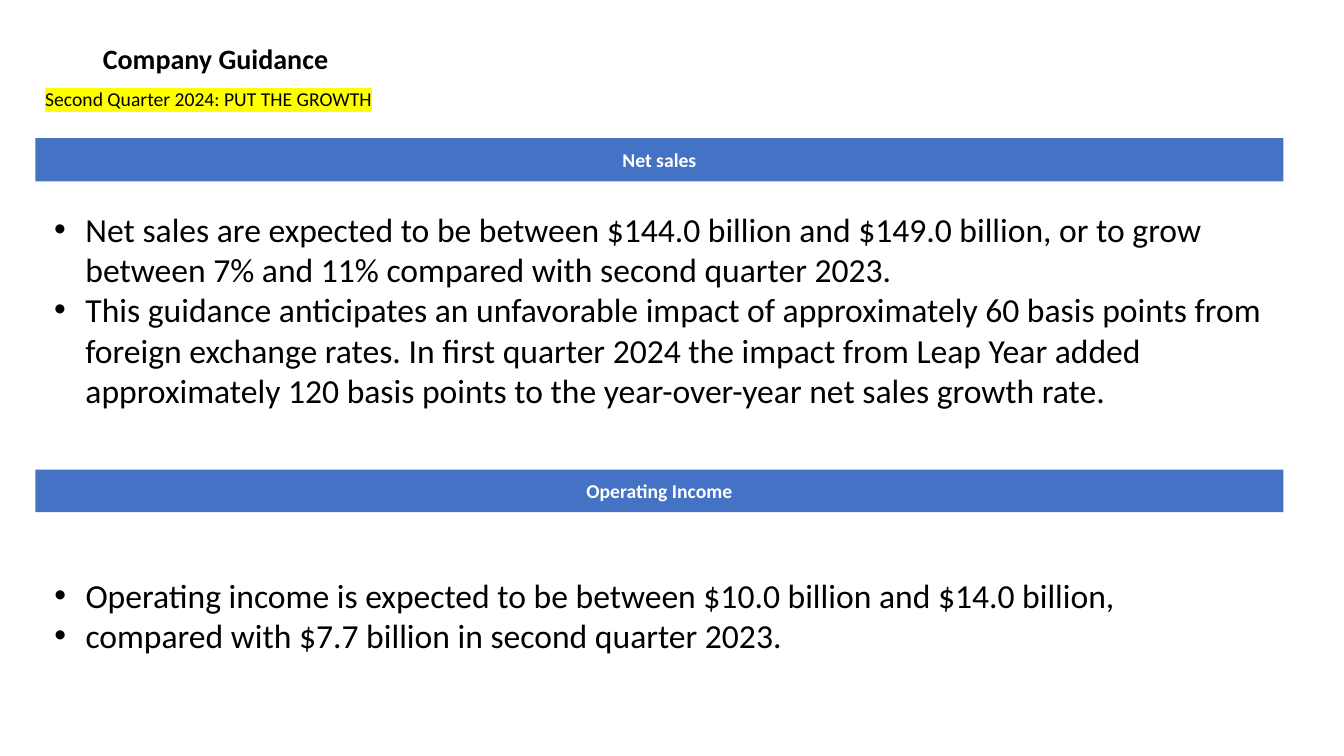
from dataclasses import dataclass

import lxml.etree
import pptx
import pptx.dml.color
import pptx.enum.shapes
import pptx.enum.text
import pptx.oxml.ns
import pptx.shapes.autoshape
import pptx.slide
import pptx.text.text
import pptx.util

SLIDE_WIDTH = pptx.util.Inches(13.33)
SLIDE_HEIGHT = pptx.util.Inches(7.5)
TITLE_ONLY_LAYOUT = 5
FONT = "Calibri"
BULLET_INDENT = pptx.util.Inches(0.31)
COLORS = {"text": "000000", "bar": "4472C4", "bar_text": "FFFFFF", "highlight": "FFFF00"}


@dataclass(frozen=True)
class Area:
    """A box in percent of the slide's width and height."""

    left: float
    top: float
    width: float
    height: float

    def lengths(self) -> tuple[int, int, int, int]:
        return (
            int(SLIDE_WIDTH * self.left / 100),
            int(SLIDE_HEIGHT * self.top / 100),
            int(SLIDE_WIDTH * self.width / 100),
            int(SLIDE_HEIGHT * self.height / 100),
        )


@dataclass(frozen=True)
class Section:
    heading: str
    bar: Area
    bullets: tuple[str, ...]
    body: Area


TITLE_AREA = Area(6.9, 5.07, 18.68, 5.73)
SUBTITLE_AREA = Area(2.63, 10.8, 42.39, 4.53)
SECTIONS = (
    Section(
        "Net sales",
        Area(2.63, 18.27, 92.87, 5.73),
        (
            "Net sales are expected to be between $144.0 billion and $149.0 billion, "
            "or to grow between 7% and 11% compared with second quarter 2023.",
            "This guidance anticipates an unfavorable impact of approximately 60 basis points "
            "from foreign exchange rates. In first quarter 2024 the impact from Leap Year added "
            "approximately 120 basis points to the year-over-year net sales growth rate.",
        ),
        Area(3.3, 26.93, 93.4, 28.27),
    ),
    Section(
        "Operating Income",
        Area(2.63, 62.13, 92.87, 5.6),
        (
            "Operating income is expected to be between $10.0 billion and $14.0 billion,",
            "compared with $7.7 billion in second quarter 2023.",
        ),
        Area(3.3, 75.33, 83.87, 12.13),
    ),
)


def format_text(
    frame: pptx.text.text.TextFrame,
    size: int,
    color: str = "text",
    bold: bool = False,
    alignment: pptx.enum.text.PP_ALIGN = pptx.enum.text.PP_ALIGN.LEFT,
) -> None:
    frame.word_wrap = True
    for paragraph in frame.paragraphs:
        paragraph.alignment = alignment
        for run in paragraph.runs:
            run.font.name = FONT
            run.font.size = pptx.util.Pt(size)
            run.font.bold = bold
            run.font.color.rgb = pptx.dml.color.RGBColor.from_string(COLORS[color])


def highlight_run(run: pptx.text.text._Run) -> None:
    fill = run.font._element.find(pptx.oxml.ns.qn("a:solidFill"))
    highlight = lxml.etree.Element(pptx.oxml.ns.qn("a:highlight"))
    color = lxml.etree.SubElement(highlight, pptx.oxml.ns.qn("a:srgbClr"))
    color.set("val", COLORS["highlight"])
    fill.addnext(highlight)


def add_bullet(paragraph: pptx.text.text._Paragraph) -> None:
    properties = paragraph._p.get_or_add_pPr()
    properties.set("marL", str(BULLET_INDENT))
    properties.set("indent", str(-BULLET_INDENT))
    font = lxml.etree.SubElement(properties, pptx.oxml.ns.qn("a:buFont"))
    font.set("typeface", "Arial")
    bullet = lxml.etree.SubElement(properties, pptx.oxml.ns.qn("a:buChar"))
    bullet.set("char", "•")


def set_title(slide: pptx.slide.Slide, text: str) -> None:
    title = slide.shapes.title
    title.left, title.top, title.width, title.height = TITLE_AREA.lengths()
    frame = title.text_frame
    frame.text = text
    frame.auto_size = pptx.enum.text.MSO_AUTO_SIZE.NONE
    frame.vertical_anchor = pptx.enum.text.MSO_ANCHOR.MIDDLE
    frame.paragraphs[0].line_spacing = 0.9
    format_text(frame, 20, bold=True)


def add_text(
    slide: pptx.slide.Slide, area: Area, text: str, size: int
) -> pptx.text.text.TextFrame:
    frame = slide.shapes.add_textbox(*area.lengths()).text_frame
    frame.text = text
    frame.auto_size = pptx.enum.text.MSO_AUTO_SIZE.SHAPE_TO_FIT_TEXT
    format_text(frame, size)
    return frame


def add_bar(slide: pptx.slide.Slide, area: Area, heading: str) -> None:
    bar = slide.shapes.add_shape(
        pptx.enum.shapes.MSO_SHAPE.RECTANGLE, *area.lengths()
    )
    bar.shadow.inherit = False
    bar.fill.solid()
    bar.fill.fore_color.rgb = pptx.dml.color.RGBColor.from_string(COLORS["bar"])
    bar.line.fill.background()
    bar.text_frame.text = heading
    bar.text_frame.vertical_anchor = pptx.enum.text.MSO_ANCHOR.MIDDLE
    format_text(bar.text_frame, 14, "bar_text", True, pptx.enum.text.PP_ALIGN.CENTER)


def add_section(slide: pptx.slide.Slide, section: Section) -> None:
    add_bar(slide, section.bar, section.heading)
    frame = add_text(slide, section.body, "\n".join(section.bullets), 24)
    for paragraph in frame.paragraphs:
        add_bullet(paragraph)


def main() -> None:
    presentation = pptx.Presentation()
    presentation.slide_width = SLIDE_WIDTH
    presentation.slide_height = SLIDE_HEIGHT
    slide = presentation.slides.add_slide(presentation.slide_layouts[TITLE_ONLY_LAYOUT])
    set_title(slide, "Company Guidance")
    subtitle = add_text(slide, SUBTITLE_AREA, "Second Quarter 2024: PUT THE GROWTH", 14)
    highlight_run(subtitle.paragraphs[0].runs[0])
    for section in SECTIONS:
        add_section(slide, section)
    presentation.save("out.pptx")


if __name__ == "__main__":
    main()
